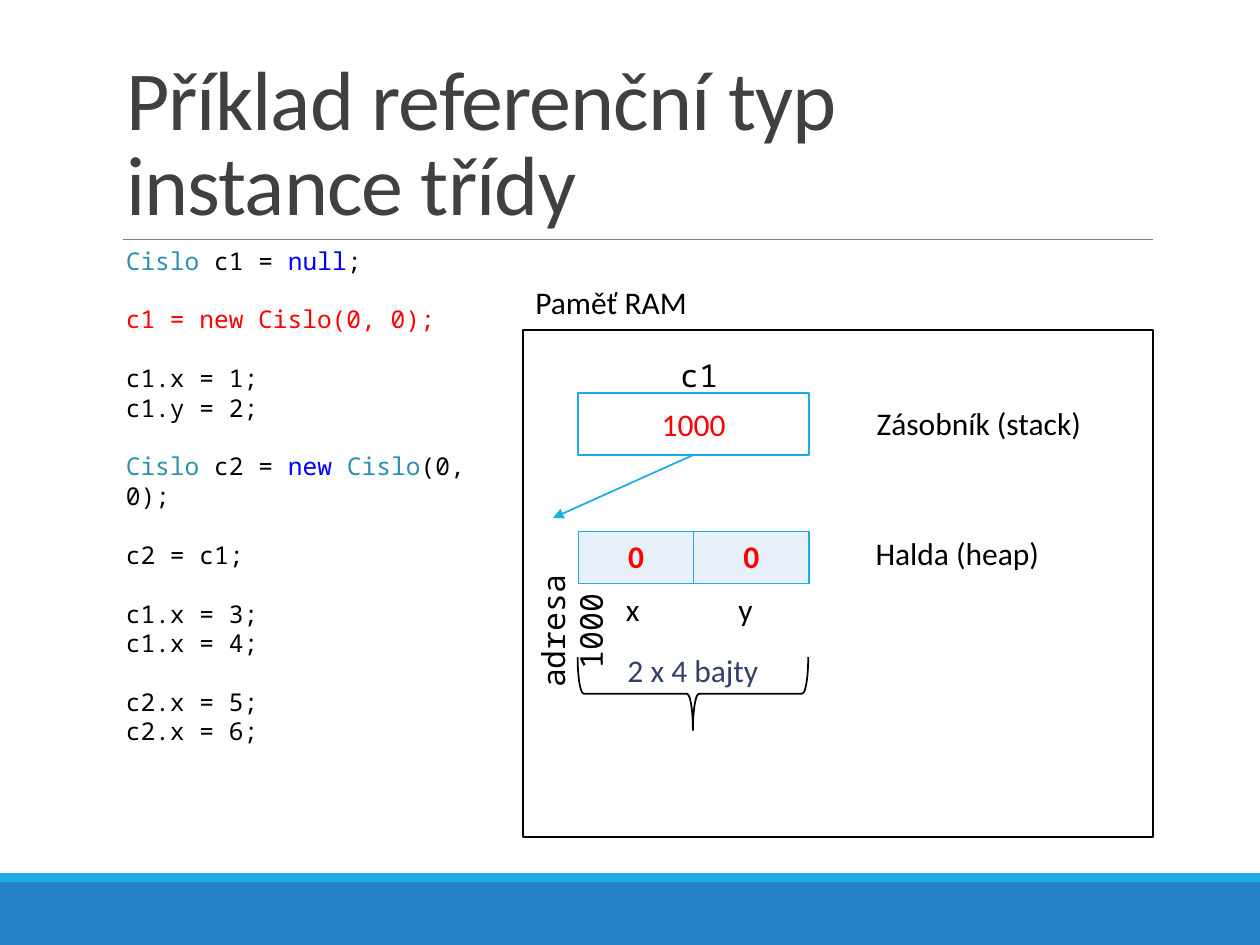
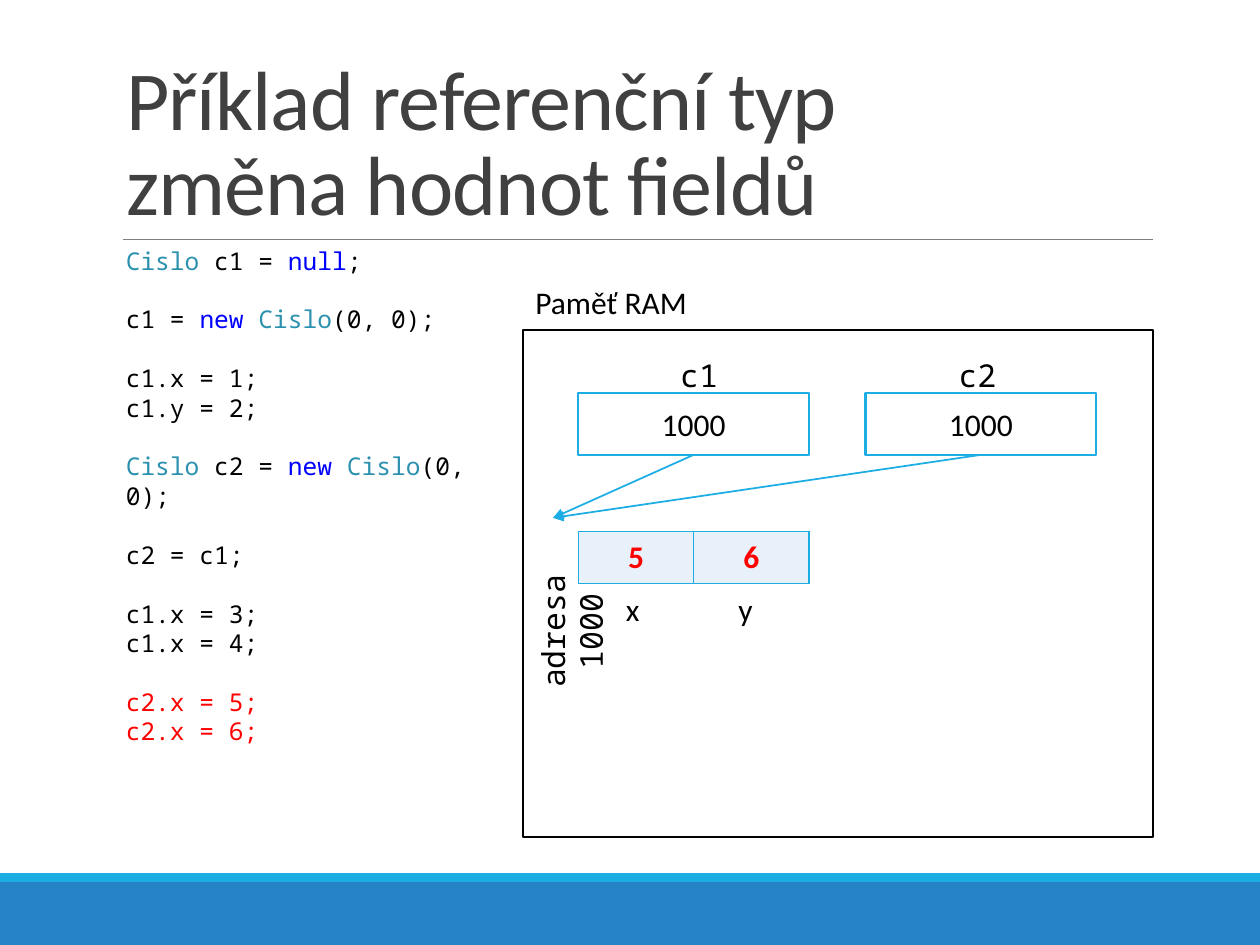
from lxml import etree
from pptx import Presentation
from pptx.enum import shapes, text
from pptx.dml.color import RGBColor
from pptx.oxml.ns import qn
from pptx.util import Pt

COLORS = {
    "band": "2683C6", "accent": "1CADE4", "rule": "808080", "title": "404040",
    "black": "000000", "white": "FFFFFF", "red": "FF0000", "cell": "E8F1FA",
    "type": "2B91AF", "keyword": "0000FF", "brace": "344068",
}
SANS, MONO = "Calibri", "Noto Sans Mono"
LEFT, TOP_RULE, RIGHT = 64.8, 136.8, 658.8
FIELD_LEFT, FIELD_WIDTH = 330.48, 131.76
STACK_TOP, STACK_HEIGHT = 224.64, 35.28
LABEL_HEIGHT = 28.8
HEAP_POINT = (316.08, 295.92)

NEW_NUMBER = [("new ", "keyword"), ("Cislo", "type"), ("(0, 0);", "black")]
CODE = [
    [[("Cislo", "type"), (" c1 = ", "black"), ("null", "keyword"), (";", "black")]],
    [[("c1 = ", "black")] + NEW_NUMBER],
    [[("c1.x = 1;", "black")], [("c1.y = 2;", "black")]],
    [[("Cislo", "type"), (" c2 = ", "black")] + NEW_NUMBER],
    [[("c2 = c1;", "black")]],
    [[("c1.x = 3;", "black")], [("c1.x = 4;", "black")]],
    [[("c2.x = 5;", "black")], [("c2.x = 6;", "black")]],
]


def apply(target, **values):
    for name, value in values.items():
        setattr(target, name, value)


def rgb(name):
    return RGBColor.from_string(COLORS[name])


class Painter:
    def __init__(self):
        self.deck = Presentation()
        apply(self.deck, slide_width=Pt(720), slide_height=Pt(540))
        self.layout = self.deck.slide_layouts[5]
        self.page = None
        self.has_theme = False

    def start(self, *title_lines):
        self.page = self.deck.slides.add_slide(self.layout)
        if not self.has_theme:
            self.decorate_layout()
        box = self.page.shapes.title
        self.place(box, LEFT, 22.32, RIGHT - LEFT, 114.48)
        apply(box.text_frame, vertical_anchor=text.MSO_ANCHOR.BOTTOM,
              word_wrap=True, auto_size=text.MSO_AUTO_SIZE.NONE)
        para = box.text_frame.paragraphs[0]
        apply(para, alignment=text.PP_ALIGN.LEFT, line_spacing=0.85)
        for index, line in enumerate(title_lines):
            if index:
                para.add_line_break()
            self.span(para, line, "title", size=48)
        for properties in box.element.iter(qn("a:rPr")):
            properties.set("spc", "-50")

    def decorate_layout(self):
        parts = [
            self.shape("RECTANGLE", 0, 504, 720, 36, fill="band"),
            self.shape("RECTANGLE", 0, 499, 720, 5, fill="accent"),
            self.line((70.56, TOP_RULE), (RIGHT, TOP_RULE), "rule", 0.5),
        ]
        for part in parts:
            self.layout.shapes.element.append(part.element)
        self.has_theme = True

    def place(self, box, left, top, width, height):
        apply(box, left=Pt(left), top=Pt(top), width=Pt(width), height=Pt(height))

    def span(self, para, words, color="black", font=SANS, size=18, bold=False):
        span = para.add_run()
        span.text = words
        apply(span.font, name=font, size=Pt(size), bold=bold)
        span.font.color.rgb = rgb(color)

    def shape(self, kind, left, top, width, height, fill=None, line=None, weight=1.25):
        box = self.page.shapes.add_shape(getattr(shapes.MSO_SHAPE, kind),
                                         Pt(left), Pt(top), Pt(width), Pt(height))
        box.shadow.inherit = False
        if fill:
            box.fill.solid()
            box.fill.fore_color.rgb = rgb(fill)
        else:
            box.fill.background()
        if line:
            box.line.color.rgb = rgb(line)
            box.line.width = Pt(weight)
        else:
            box.line.fill.background()
        return box

    def caption(self, box, words, color):
        box.text_frame.vertical_anchor = text.MSO_ANCHOR.MIDDLE
        para = box.text_frame.paragraphs[0]
        para.alignment = text.PP_ALIGN.CENTER
        self.span(para, words, color)

    def text_box(self, left, top, width, height=LABEL_HEIGHT):
        box = self.page.shapes.add_textbox(Pt(left), Pt(top), Pt(width), Pt(height))
        apply(box.text_frame, word_wrap=True,
              auto_size=text.MSO_AUTO_SIZE.SHAPE_TO_FIT_TEXT)
        return box

    def label(self, words, left, top, width, font=SANS):
        box = self.text_box(left, top, width)
        self.span(box.text_frame.paragraphs[0], words, font=font)
        return box

    def line(self, start, end, color, weight, source=None, arrow=False):
        line = self.page.shapes.add_connector(
            shapes.MSO_CONNECTOR.STRAIGHT, *(Pt(value) for value in (*start, *end)))
        if source is not None:
            line.begin_connect(source, 2)
        line.line.color.rgb = rgb(color)
        line.line.width = Pt(weight)
        properties = line.element.find(qn("p:spPr"))
        if arrow:
            etree.SubElement(properties.find(qn("a:ln")), qn("a:tailEnd"), type="triangle")
        etree.SubElement(properties, qn("a:effectLst"))
        return line

    def code(self, highlighted):
        frame = self.text_box(LEFT, TOP_RULE, 224.64, 278.64).text_frame
        para = None
        for group_index, group in enumerate(CODE):
            for line_index, line in enumerate(group):
                para = frame.add_paragraph() if para else frame.paragraphs[0]
                if group_index and line_index == 0:
                    para.space_before = Pt(16.8)
                if group_index == highlighted:
                    line = [("".join(words for words, _ in line), "red")]
                for words, color in line:
                    self.span(para, words, color, MONO, 14)

    def variable(self, name, left, name_left, color):
        box = self.shape("RECTANGLE", left, STACK_TOP, FIELD_WIDTH, STACK_HEIGHT,
                         "white", "accent")
        self.caption(box, "1000", color)
        self.label(name, name_left, 200.16, 38.88, MONO)
        middle = (left + FIELD_WIDTH / 2, STACK_TOP + STACK_HEIGHT)
        self.line(middle, HEAP_POINT, "accent", 1, box, True)

    def fields(self, values):
        frame = self.page.shapes.add_table(1, len(values), Pt(FIELD_LEFT), Pt(303.84),
                                           Pt(FIELD_WIDTH), Pt(29.52))
        apply(frame.table, first_row=False, horz_banding=False)
        for cell, value in zip(frame.table.rows[0].cells, values):
            cell.fill.solid()
            cell.fill.fore_color.rgb = rgb("cell")
            para = cell.text_frame.paragraphs[0]
            para.alignment = text.PP_ALIGN.CENTER
            self.span(para, value, "red", bold=True)
        for properties in frame.element.iter(qn("a:tcPr")):
            for index, side in enumerate(("lnL", "lnR", "lnT", "lnB")):
                border = etree.Element(qn("a:" + side), w=str(Pt(1)))
                fill = etree.SubElement(border, qn("a:solidFill"))
                etree.SubElement(fill, qn("a:srgbClr"), val=COLORS["accent"])
                properties.insert(index, border)

    def field_names(self):
        box = self.text_box(FIELD_LEFT, 333.36, FIELD_WIDTH)
        para = box.text_frame.paragraphs[0]
        tabs = etree.SubElement(para._p.get_or_add_pPr(), qn("a:tabLst"))
        for position in (24, 88.5):
            etree.SubElement(tabs, qn("a:tab"), pos=str(Pt(position)), algn="ctr")
        self.span(para, "\tx\ty")

    def address(self):
        box = self.label("adresa 1000", 250.56, 346.32, 130.32, MONO)
        box.rotation = 270
        box.text_frame.paragraphs[0].alignment = text.PP_ALIGN.CENTER

    def size_brace(self):
        brace = self.shape("LEFT_BRACE", 375.12, 330.48, 41.76, FIELD_WIDTH,
                           line="black", weight=1)
        brace.rotation = 270
        self.caption(brace, "2 x 4 bajty", "brace")
        brace.element.find(".//" + qn("a:bodyPr")).set("vert", "vert")

    def memory(self, title_lines, highlighted, values, variables):
        self.start(*title_lines)
        self.shape("RECTANGLE", 298.8, 188.64, 360, 289.44, "white", "black")
        self.label("Paměť RAM", 298.8, 158.4, 133.92)
        self.code(highlighted)
        self.fields(values)
        for variable in variables:
            self.variable(*variable)
        self.field_names()
        self.address()


def main():
    painter = Painter()
    heading = "Příklad referenční typ"
    painter.memory((heading, "instance třídy"), 1, "00",
                   [("c1", FIELD_LEFT, 381.6, "red")])
    painter.size_brace()
    painter.label("Zásobník (stack)", 493.92, 227.52, 151.2)
    painter.label("Halda (heap)", 493.2, 301.68, 128.16)
    painter.memory((heading, "změna hodnot fieldů"), 6, "56",
                   [("c1", FIELD_LEFT, 381.6, "black"),
                    ("c2", 494.64, 540.72, "black")])
    painter.deck.save("out.pptx")


if __name__ == "__main__":
    main()
